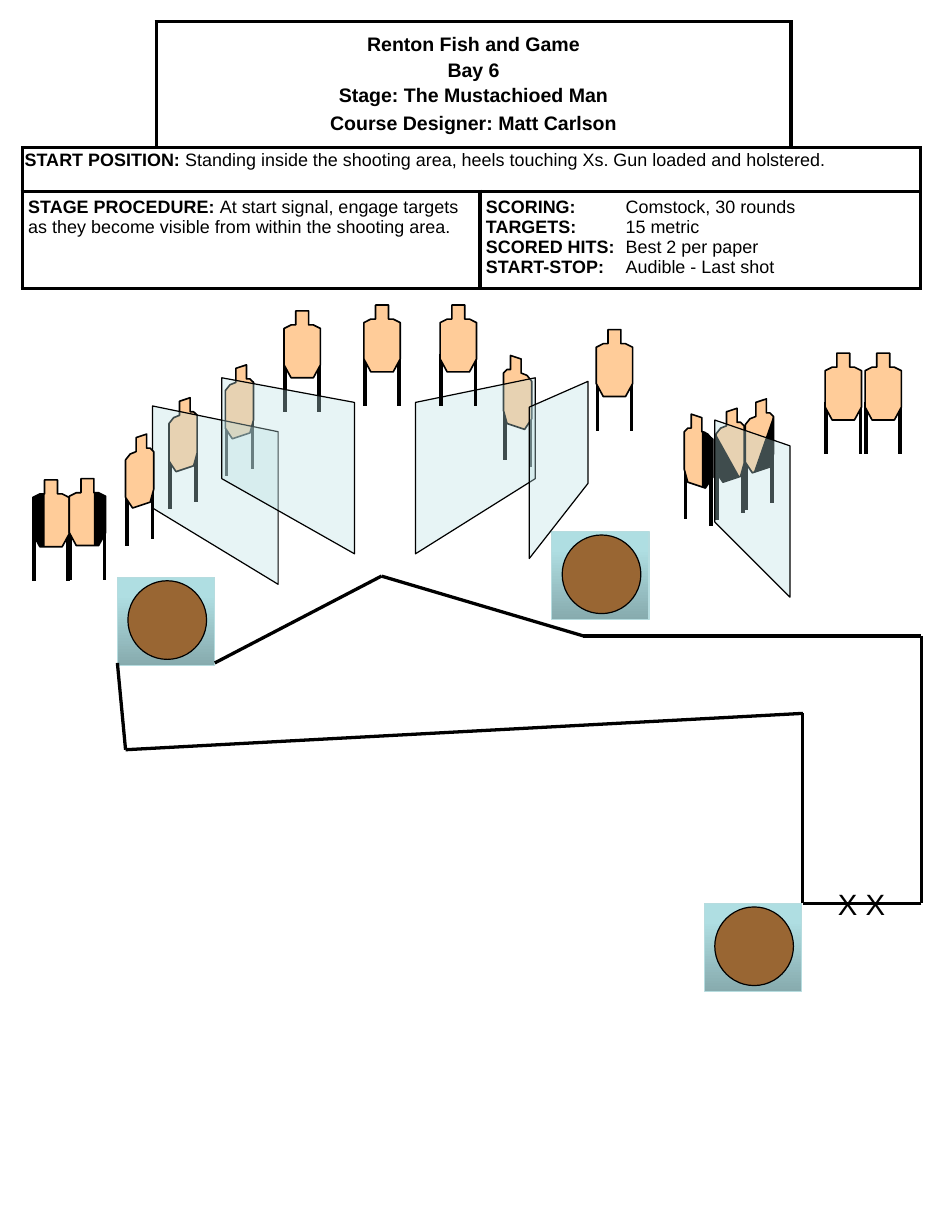
from lxml.etree import SubElement
from pptx import Presentation
from pptx.dml.color import RGBColor
from pptx.enum.shapes import MSO_CONNECTOR, MSO_SHAPE
from pptx.enum.text import MSO_ANCHOR, PP_ALIGN
from pptx.oxml.ns import qn
from pptx.util import Inches, Pt

BLACK, WHITE, TAN, BROWN, GLASS = "000000", "FFFFFF", "FFCC99", "996633", "BBE0E3"

# Target outlines and legs, relative to the top left corner of the target
FRONT_WIDTH, ANGLED_WIDTH = 0.31, 0.24
FRONT_OUTLINE = [(0.1, 0), (0.21, 0), (0.21, 0.12), (0.25, 0.12), (0.31, 0.15), (0.31, 0.46),
                 (0.25, 0.57), (0.06, 0.57), (0, 0.46), (0, 0.15), (0.06, 0.12), (0.1, 0.12)]
ANGLED_OUTLINE = [(0.09, 0.03), (0.18, 0), (0.18, 0.12), (0.21, 0.12), (0.24, 0.15), (0.24, 0.47),
                  (0.21, 0.58), (0.06, 0.63), (0, 0.54), (0, 0.22), (0.04, 0.17), (0.09, 0.15)]
FRONT_LEGS = [(0.01, 0.42), (0.3, 0.42)]
ANGLED_LEGS = [(0.01, 0.51), (0.23, 0.45)]
LEG_LENGTH = 0.44

# Hard cover painted on some targets
LEFT_COVER = [(0.1, 0.12), (0.1, 0.57), (0.06, 0.57), (0, 0.46), (0, 0.15), (0.06, 0.12)]
LOWER_RIGHT_COVER = [(0.07, 0.63), (0.22, 0.57), (0.24, 0.46), (0.24, 0.14)]
LOWER_LEFT_COVER = [(0.2, 0.58), (0.06, 0.63), (0, 0.53), (0, 0.22)]
SIDE_COVER = [(0.25, 0.54), (0.18, 0.63), (0.15, 0.62), (0.15, 0.14), (0.18, 0.15), (0.25, 0.21)]


def color(hex_string):
    return RGBColor.from_string(hex_string)


def mirror(points, width):
    return [(width - x, y) for x, y in points]


def shift(points, left, top):
    return [(left + x, top + y) for x, y in points]


class StageSlide:
    font = "Arial"
    heavy, medium, outline, thin = 2.25, 2, 1, 0.75

    def __init__(self, presentation):
        self.slide = presentation.slides.add_slide(presentation.slide_layouts[6])
        self.shapes = self.slide.shapes

    def paint(self, shape, fill, line=None, width=thin):
        shape.shadow.inherit = False
        if fill:
            shape.fill.solid()
            shape.fill.fore_color.rgb = color(fill)
        if line:
            shape.line.color.rgb = color(line)
            shape.line.width = Pt(width)
        else:
            shape.line.fill.background()

    def line(self, start, end, width=medium, shapes=None):
        connector = (shapes or self.shapes).add_connector(
            MSO_CONNECTOR.STRAIGHT, *(Inches(value) for value in (*start, *end)))
        connector.line.color.rgb = color(BLACK)
        connector.line.width = Pt(width)
        SubElement(connector._element.spPr, qn("a:effectLst"))

    def polygon(self, points, fill, line=None, width=thin, shapes=None):
        corners = [(Inches(x), Inches(y)) for x, y in points]
        builder = (shapes or self.shapes).build_freeform(*corners[0])
        builder.add_line_segments(corners[1:], close=True)
        shape = builder.convert_to_shape()
        self.paint(shape, fill, line, width)
        return shape

    def target(self, left, top, kind="front", cover=None):
        """Draw a paper target on two legs; kind is front, right or left."""
        outline, legs = (FRONT_OUTLINE, FRONT_LEGS) if kind == "front" else (ANGLED_OUTLINE, ANGLED_LEGS)
        if kind == "left":
            outline, legs = mirror(outline, ANGLED_WIDTH), mirror(legs, ANGLED_WIDTH)
        shapes = self.shapes.add_group_shape().shapes
        for x, y in shift(legs, left, top):
            self.line((x, y), (x, y + LEG_LENGTH), self.heavy, shapes)
        self.polygon(shift(outline, left, top), TAN, BLACK, self.outline, shapes)
        if cover:
            self.polygon(shift(cover, left, top), BLACK, shapes=shapes)

    def wall(self, left, right, left_span, right_span):
        """Draw a see-through wall; each span is the top and bottom of one side."""
        points = [(left, left_span[1]), (right, right_span[1]), (right, right_span[0]), (left, left_span[0])]
        shape = self.polygon(points, GLASS, BLACK)
        fill = shape._element.spPr.find(qn("a:solidFill"))
        SubElement(fill[0], qn("a:alpha"), val="34000")

    def barrel(self, left, top):
        shapes = self.shapes.add_group_shape().shapes
        base = shapes.add_shape(MSO_SHAPE.RECTANGLE, Inches(left), Inches(top), Inches(0.83), Inches(0.75))
        base.fill.gradient()
        base.fill.gradient_angle = 90
        for stop, (position, hex_string) in zip(base.fill.gradient_stops, [(0, "87ABAE"), (0.8, "AFDEE2")]):
            stop.position = position
            stop.color.rgb = color(hex_string)
        self.paint(base, None, "B6DCDF")
        top_view = shapes.add_shape(MSO_SHAPE.OVAL, Inches(left + 0.09), Inches(top + 0.03),
                                    Inches(0.67), Inches(0.67))
        self.paint(top_view, BROWN, BLACK)

    def add_runs(self, paragraph, runs, size, tab=None, **formats):
        """Fill a paragraph with (text, bold) runs."""
        for name, value in formats.items():
            setattr(paragraph, name, value)
        if tab:
            tabs = SubElement(paragraph._p.get_or_add_pPr(), qn("a:tabLst"))
            SubElement(tabs, qn("a:tab"), pos=str(Inches(tab)), algn="l")
        for text, bold in runs:
            run = paragraph.add_run()
            run.text = text
            run.font.color.rgb = color(BLACK)
            for name, value in {"name": self.font, "size": Pt(size), "bold": bold}.items():
                setattr(run.font, name, value)

    def label(self, left, top, width, height, text, size):
        frame = self.shapes.add_textbox(Inches(left), Inches(top), Inches(width), Inches(height)).text_frame
        frame.word_wrap = True
        self.add_runs(frame.paragraphs[0], [(text, False)], size)

    def table(self, left, top, columns, rows):
        table = self.shapes.add_table(len(rows), len(columns), Inches(left), Inches(top),
                                      Inches(sum(columns)), Inches(sum(rows))).table
        table.first_row = table.horz_banding = False
        for column, width in zip(table.columns, columns):
            column.width = Inches(width)
        for row, height in zip(table.rows, rows):
            row.height = Inches(height)
        return table

    def cell_style(self, cell, sides):
        properties = cell._tc.get_or_add_tcPr()
        for side in sides:
            border = SubElement(properties, qn("a:ln" + side), w=str(Pt(self.heavy)))
            fill = SubElement(border, qn("a:solidFill"))
            SubElement(fill, qn("a:srgbClr"), val=BLACK)
        cell.fill.solid()
        cell.fill.fore_color.rgb = color(WHITE)

    def cell_text(self, cell, paragraphs, size, margins=(0.05, 0.05), **formats):
        """Fill a cell with paragraphs, each given as its runs and its space before."""
        cell.margin_left = cell.margin_right = Inches(margins[0])
        cell.margin_top = cell.margin_bottom = Inches(margins[1])
        for index, (runs, space) in enumerate(paragraphs):
            paragraph = cell.text_frame.add_paragraph() if index else cell.text_frame.paragraphs[0]
            if space:
                paragraph.space_before = Pt(space)
            self.add_runs(paragraph, runs, size, **formats)


def add_briefing(stage):
    table = stage.table(0.19, 0.18, [1.14, 2.76, 2.65, 1.1], [1.08, 0.37, 0.83])
    corner_sides = {(0, 0): "RB", (0, 3): "LB"}
    for row in range(3):
        for column in range(4):
            stage.cell_style(table.cell(row, column), corner_sides.get((row, column), "LRTB"))
    for row, first, last in [(0, 1, 2), (1, 0, 3), (2, 0, 1), (2, 2, 3)]:
        table.cell(row, first).merge(table.cell(row, last))

    heading = [("Renton Fish and Game", 0), ("Bay 6", 2), ("Stage: The Mustachioed Man", 2),
               ("Course Designer: Matt Carlson", 4)]
    table.cell(0, 1).vertical_anchor = MSO_ANCHOR.MIDDLE
    stage.cell_text(table.cell(0, 1), [([(text, True)], space) for text, space in heading], 12,
                    alignment=PP_ALIGN.CENTER)
    start = [("START POSITION:", True),
             (" Standing inside the shooting area, heels touching Xs. Gun loaded and holstered.", False)]
    stage.cell_text(table.cell(1, 0), [(start, 0)], 11, (0.02, 0.04), line_spacing=0.9)
    procedure = [("STAGE PROCEDURE: ", True),
                 ("At start signal, engage targets as they become visible from within the shooting area.", False)]
    stage.cell_text(table.cell(2, 0), [(procedure, 0)], 11)
    scoring = [("SCORING:", "Comstock, 30 rounds"), ("TARGETS:", "15 metric"),
               ("SCORED HITS:", "Best 2 per paper"), ("START-STOP:", "Audible - Last shot")]
    stage.cell_text(table.cell(2, 2), [([(name, True), ("\t" + value, False)], 0) for name, value in scoring],
                    11, tab=1.19)


def main():
    presentation = Presentation()
    presentation.slide_width, presentation.slide_height = Inches(8), Inches(10.5)
    stage = StageSlide(presentation)

    for target in [(4.29, 3.03, "left"), (1.92, 3.11, "right"), (1.44, 3.39, "right"),
                   (6.35, 3.4, "right", LOWER_RIGHT_COVER), (6.1, 3.48, "right", LOWER_LEFT_COVER),
                   (7.03, 3.01), (7.37, 3.01), (5.08, 2.81), (2.42, 2.65)]:
        stage.target(*target)
    add_briefing(stage)
    for left, top in [(1, 4.92), (4.7, 4.53), (6, 7.7)]:
        stage.barrel(left, top)

    boundary = [(1.83, 5.65), (3.25, 4.91), (4.97, 5.42), (6.75, 5.42), (7.85, 5.42),
                (7.85, 7.7), (6.84, 7.7), (6.84, 6.08), (1.07, 6.39), (1, 5.65)]
    for start, end in zip(boundary, boundary[1:]):
        stage.line(start, end)

    for wall in [(6.09, 6.73, (3.58, 4.45), (3.8, 5.09)), (1.3, 2.37, (3.46, 4.33), (3.68, 4.98)),
                 (1.89, 3.02, (3.22, 4.08), (3.43, 4.72)), (3.54, 4.56, (3.43, 4.72), (3.22, 4.08)),
                 (4.51, 5.01, (3.47, 4.76), (3.25, 4.12))]:
        stage.wall(*wall)
    for target in [(3.1, 2.6), (3.75, 2.6), (1.07, 3.7, "right"), (5.83, 3.53, "left", SIDE_COVER),
                   (0.28, 4.09, "front", LEFT_COVER),
                   (0.59, 4.08, "front", mirror(LEFT_COVER, FRONT_WIDTH))]:
        stage.target(*target)
    stage.label(7.04, 7.5, 0.99, 0.4, "X X", 18)
    presentation.save("out.pptx")


if __name__ == "__main__":
    main()
